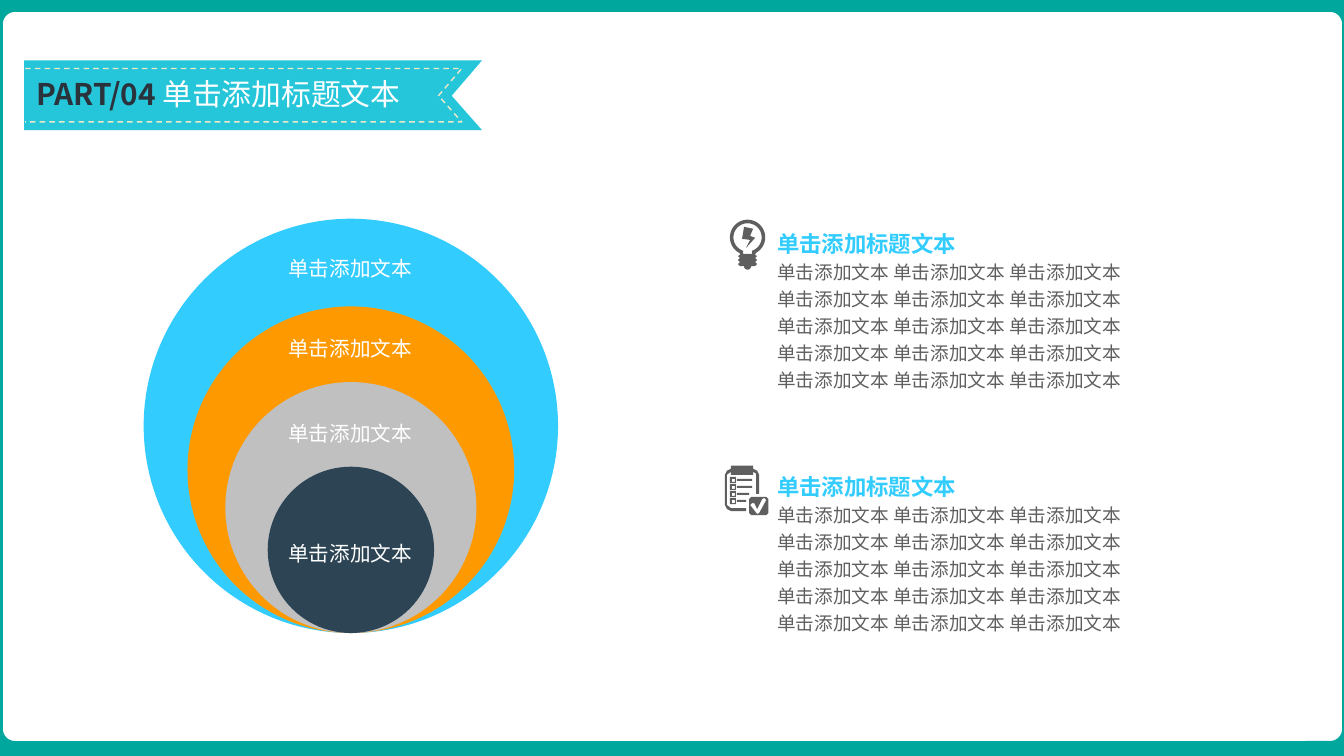
from math import cos, radians, sin

from lxml.etree import SubElement
from pptx import Presentation
from pptx.dml.color import RGBColor
from pptx.enum.dml import MSO_LINE
from pptx.enum.shapes import MSO_SHAPE
from pptx.enum.text import MSO_AUTO_SIZE
from pptx.oxml.ns import qn
from pptx.util import Inches, Pt

TEAL = RGBColor(0x00, 0xA7, 0x9D)
TURQUOISE = RGBColor(0x26, 0xC6, 0xDA)
CREAM = RGBColor(0xED, 0xE8, 0xC8)
SKY = RGBColor(0x33, 0xCC, 0xFF)
ORANGE = RGBColor(0xFF, 0x99, 0x00)
SILVER = RGBColor(0xC0, 0xC0, 0xC0)
NAVY = RGBColor(0x2D, 0x44, 0x54)
INK = RGBColor(0x2A, 0x32, 0x3B)
GREY = RGBColor(0x5F, 0x5F, 0x5F)
WHITE = RGBColor(0xFF, 0xFF, 0xFF)
CJK_FONT = "Noto Sans CJK SC"

presentation = Presentation()
presentation.slide_width = Inches(13.33)
presentation.slide_height = Inches(7.5)
slide = presentation.slides.add_slide(presentation.slide_layouts[6])
shapes = slide.shapes


def add_outline(contours, fill=None, close=True):
    """Draw contours given in inches as one freeform without a line."""
    points = [[(Inches(x), Inches(y)) for x, y in contour] for contour in contours]
    builder = shapes.build_freeform(*points[0][0])
    builder.add_line_segments(points[0][1:], close=close)
    for contour in points[1:]:
        builder.move_to(*contour[0])
        builder.add_line_segments(contour[1:], close=close)
    outline = builder.convert_to_shape()
    outline.shadow.inherit = False
    outline.line.fill.background()
    if fill is None:
        outline.fill.background()
    else:
        outline.fill.solid()
        outline.fill.fore_color.rgb = fill
    return outline


def style_font(font, size, color, bold=False, name="Arial"):
    """Set size, colour, weight and the Latin and East Asian typefaces."""
    font.size = Pt(size)
    font.bold = bold
    font.color.rgb = color
    font.name = name
    SubElement(font._element, qn("a:ea")).set("typeface", CJK_FONT)


# Title ribbon
add_outline([[(4.78, 1.29), (0.24, 1.29), (0.24, 0.6), (4.78, 0.6), (4.48, 0.95)]], TURQUOISE)
stitching = add_outline(
    [[(0.25, 0.68), (4.58, 0.68), (4.35, 0.95), (4.58, 1.21), (0.25, 1.21)]], close=False)
stitching.line.color.rgb = CREAM
stitching.line.width = Pt(1)
stitching.line.dash_style = MSO_LINE.DASH

# Nested circles share their centre line and lowest point
CENTER_X, CIRCLES_BOTTOM = 3.48, 6.28
circles = [(4.11, SKY, 2.54), (3.24, ORANGE, 3.33), (2.49, SILVER, 4.18), (1.65, NAVY, 5.37)]
for diameter, color, label_top in circles:
    circle = shapes.add_shape(
        MSO_SHAPE.OVAL, Inches(CENTER_X - diameter / 2), Inches(CIRCLES_BOTTOM - diameter),
        Inches(diameter), Inches(diameter))
    circle.shadow.inherit = False
    circle.fill.solid()
    circle.fill.fore_color.rgb = color
    circle.line.fill.background()
for diameter, color, label_top in circles:
    label = shapes.add_textbox(Inches(2.86), Inches(label_top), Inches(1.23), Inches(0.25))
    frame = label.text_frame
    frame.margin_left = frame.margin_right = frame.margin_top = frame.margin_bottom = 0
    frame.word_wrap = False
    frame.auto_size = MSO_AUTO_SIZE.SHAPE_TO_FIT_TEXT
    frame.text = "单击添加文本"
    style_font(frame.paragraphs[0].font, 14.7, WHITE, name=CJK_FONT)

# Text sections: a heading and five equal lines
for section_top in (2.18, 4.59):
    section = shapes.add_textbox(Inches(7.61), Inches(section_top), Inches(3.68), Inches(1.77))
    frame = section.text_frame
    frame.word_wrap = False
    frame.auto_size = MSO_AUTO_SIZE.SHAPE_TO_FIT_TEXT
    body_line = " ".join(["单击添加文本"] * 3)
    frame.text = "\n".join(["单击添加标题文本"] + [body_line] * 5)
    heading, *body = frame.paragraphs
    style_font(heading.font, 16, SKY, bold=True)
    for line in body:
        style_font(line.font, 13.3, GREY)
    for line in frame.paragraphs:
        line.line_spacing = 1.2

# Light bulb icon
BULB_X, BULB_Y = 7.415, 2.355
glass, hollow, tip = [
    [(x + radius * cos(radians(angle)), y + radius * sin(radians(angle)))
     for angle in range(start, end + 1, 6)]
    for x, y, radius, start, end in [
        (BULB_X, BULB_Y, 0.175, 116, 424),
        (BULB_X, BULB_Y, 0.14, 108, 432),
        (BULB_X, 2.64, 0.035, 0, 180)]]
glass += [(7.49, 2.53), (7.51, 2.54), (7.49, 2.56), (7.34, 2.56), (7.32, 2.54), (7.34, 2.53)]
hollow += [(7.46, 2.52), (7.37, 2.52)]
bolt = [(7.38, 2.25), (7.36, 2.37), (7.44, 2.38), (7.4, 2.46),
        (7.49, 2.36), (7.44, 2.34), (7.47, 2.27)]
threads = [[(7.34, y), (7.49, y), (7.51, y + 0.02), (7.49, y + 0.04),
            (7.34, y + 0.04), (7.32, y + 0.02)] for y in (2.56, 2.6)]
add_outline([glass, hollow, bolt, tip, *threads], GREY)

# Checklist icon
board = [(7.53, 4.9), (7.5, 4.9), (7.5, 4.7), (7.47, 4.68), (7.47, 4.71), (7.25, 4.71),
         (7.25, 4.68), (7.21, 4.71), (7.21, 5.01), (7.25, 5.04), (7.4, 5.04), (7.4, 5.07),
         (7.25, 5.07), (7.21, 5.05), (7.19, 5.01), (7.19, 4.71), (7.21, 4.67), (7.25, 4.65),
         (7.25, 4.62), (7.47, 4.62), (7.47, 4.65), (7.51, 4.67), (7.53, 4.71)]
badge = [(7.45, 4.93), (7.6, 4.93), (7.62, 4.95), (7.62, 5.09),
         (7.6, 5.11), (7.45, 5.11), (7.43, 5.09), (7.43, 4.95)]
check = [(7.44, 5.01), (7.46, 4.99), (7.48, 4.99), (7.51, 5.05), (7.56, 4.95),
         (7.58, 4.94), (7.6, 4.96), (7.53, 5.09), (7.51, 5.1)]
bars = []
for row, rule_end in enumerate((7.46, 7.46, 7.43, 7.4)):
    y = 4.73 + 0.07 * row
    bars += [(7.24, y, 7.3, y + 0.06), (7.26, y + 0.02, 7.29, y + 0.05),
             (7.31, y + 0.02, rule_end, y + 0.04)]
rows = [[(left, top), (right, top), (right, bottom), (left, bottom)]
        for left, top, right, bottom in bars]
add_outline([board, badge, check, *rows], GREY)

# Title
title = shapes.add_textbox(Inches(0.26), Inches(0.7), Inches(3.99), Inches(0.46))
title.text_frame.word_wrap = False
title.text_frame.auto_size = MSO_AUTO_SIZE.SHAPE_TO_FIT_TEXT
part_number = title.text_frame.paragraphs[0].add_run()
part_number.text = "PART/04 "
style_font(part_number.font, 21.3, INK, bold=True, name=CJK_FONT)
heading_text = title.text_frame.paragraphs[0].add_run()
heading_text.text = "单击添加标题文本"
style_font(heading_text.font, 21.3, WHITE)

# Slide border
border = shapes.add_shape(
    MSO_SHAPE.ROUNDED_RECTANGLE, Inches(-0.09), 0, Inches(13.52), Inches(7.47))
border.adjustments[0] = 0.032
border.shadow.inherit = False
border.fill.background()
border.line.color.rgb = TEAL
border.line.width = Pt(17)

presentation.save("out.pptx")
